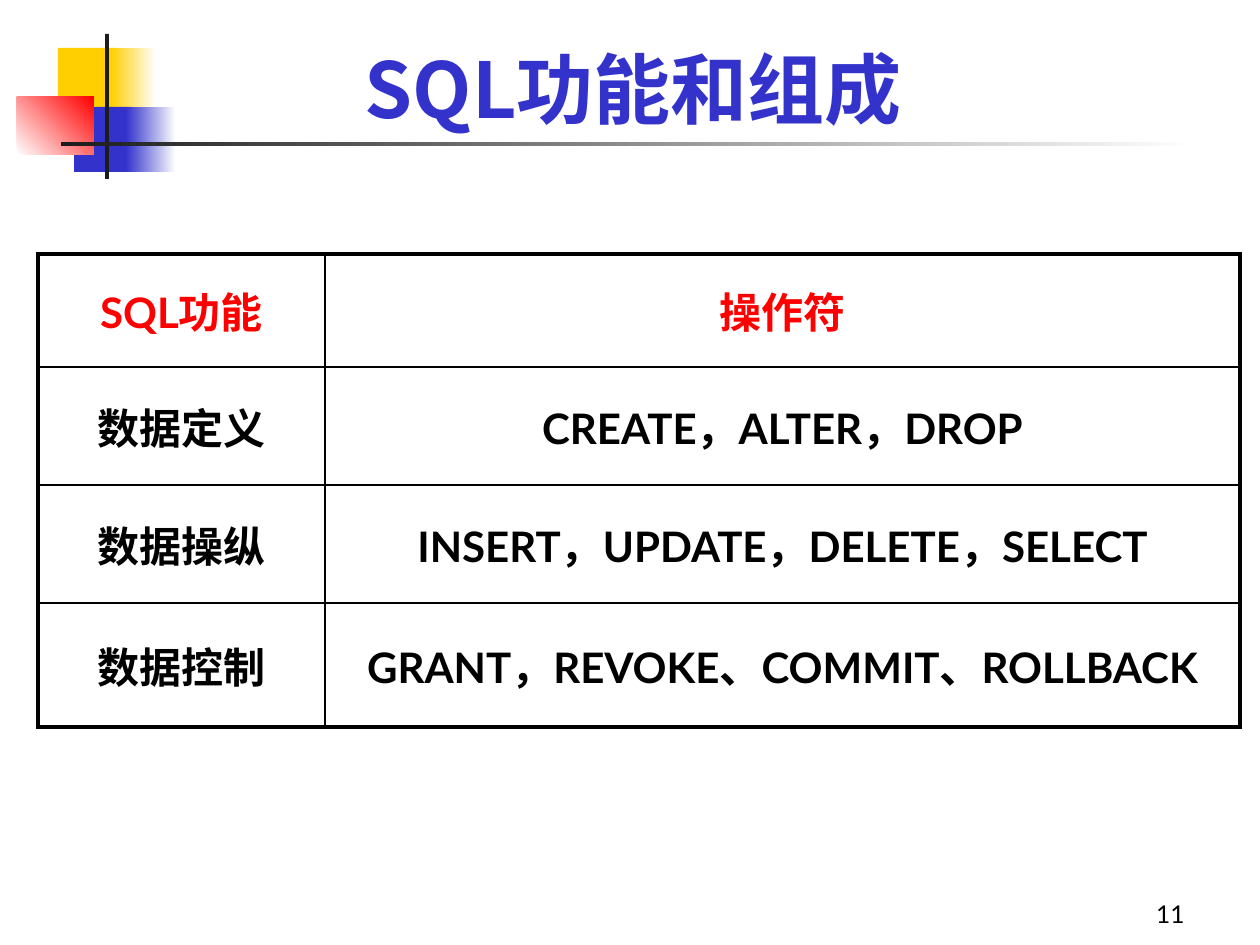
from dataclasses import dataclass
from typing import NamedTuple, Optional

from lxml import etree
from pptx import Presentation
from pptx import util as u
from pptx.dml.color import RGBColor
from pptx.enum import shapes, text
from pptx.oxml import ns

PX_PER_INCH = 126


def px(length: int) -> u.Emu:
    return u.Emu(round(length * 914400 / PX_PER_INCH))


@dataclass(frozen=True)
class Theme:
    yellow: str = "FFCF01"
    blue: str = "3333CC"
    red: str = "FF0000"
    dark: str = "1C1C1C"
    black: str = "000000"
    white: str = "FFFFFF"
    latin: str = "Lato"
    chinese: str = "Noto Sans CJK SC"
    title_size: int = 44
    table_size: int = 24
    number_size: int = 14
    outer_line: float = 2.25
    inner_line: float = 1


THEME = Theme()


class Box(NamedTuple):
    left: int
    top: int
    width: int
    height: int

    def emu(self) -> list:
        return [px(length) for length in self]


class Block(NamedTuple):
    """A decorative rectangle; with an end colour it is a gradient."""
    box: Box
    color: str
    end_color: Optional[str] = None
    angle: int = 0


BLOCKS = [
    Block(Box(58, 48, 60, 66), THEME.yellow),
    Block(Box(111, 48, 45, 66), THEME.yellow, THEME.white),
    Block(Box(74, 107, 58, 65), THEME.blue),
    Block(Box(126, 107, 50, 65), THEME.blue, THEME.white),
    Block(Box(17, 97, 77, 58), THEME.white, THEME.red, 45),
    Block(Box(105, 34, 4, 145), THEME.dark),
    Block(Box(61, 142, 1134, 4), THEME.dark, THEME.white),
]

TITLE_BOX = Box(49, 23, 1169, 117)
NUMBER_BOX = Box(935, 872, 262, 63)
TABLE_LEFT, TABLE_TOP = 38, 254
COLUMN_WIDTHS = [287, 915]
ROW_HEIGHTS = [113, 118, 118, 118]
ROWS = [
    ("SQL功能", "操作符"),
    ("数据定义", "CREATE，ALTER，DROP"),
    ("数据操纵", "INSERT，UPDATE，DELETE，SELECT"),
    ("数据控制", "GRANT，REVOKE、COMMIT、ROLLBACK"),
]


def write(frame, content: str, align, latin: str, size: int, color: str, bold: bool) -> None:
    paragraph = frame.paragraphs[0]
    paragraph.alignment = align
    paragraph.space_before = u.Pt(0)
    run = paragraph.add_run()
    run.text = content
    for name, value in {"name": latin, "size": u.Pt(size), "bold": bold}.items():
        setattr(run.font, name, value)
    run.font.color.rgb = RGBColor.from_string(color)
    east_asian = etree.Element(ns.qn("a:ea"), typeface=THEME.chinese)
    run.font._element.find(ns.qn("a:latin")).addnext(east_asian)


def draw_block(slide, block: Block) -> None:
    shape = slide.shapes.add_shape(shapes.MSO_SHAPE.RECTANGLE, *block.box.emu())
    shape.shadow.inherit = False
    shape.line.fill.background()
    if block.end_color is None:
        shape.fill.solid()
        shape.fill.fore_color.rgb = RGBColor.from_string(block.color)
        return
    shape.fill.gradient()
    shape.fill.gradient_angle = block.angle
    for stop, color in zip(shape.fill.gradient_stops, (block.color, block.end_color)):
        stop.color.rgb = RGBColor.from_string(color)


def draw_title(slide) -> None:
    title = slide.shapes.title
    for name, value in zip(Box._fields, TITLE_BOX.emu()):
        setattr(title, name, value)
    title.text_frame.vertical_anchor = text.MSO_ANCHOR.BOTTOM
    write(title.text_frame, "SQL功能和组成", text.PP_ALIGN.CENTER,
          THEME.chinese, THEME.title_size, THEME.blue, True)


def set_borders(cell, outer_sides: dict) -> None:
    """Draw the four borders of a cell, thicker on the sides marked as outer."""
    properties = cell._tc.get_or_add_tcPr()
    for index, (side, is_outer) in enumerate(outer_sides.items()):
        width = THEME.outer_line if is_outer else THEME.inner_line
        line = etree.Element(ns.qn(f"a:ln{side}"), w=str(u.Pt(width)))
        fill = etree.SubElement(line, ns.qn("a:solidFill"))
        etree.SubElement(fill, ns.qn("a:srgbClr"), val=THEME.black)
        properties.insert(index, line)


def draw_table(slide) -> None:
    box = Box(TABLE_LEFT, TABLE_TOP, sum(COLUMN_WIDTHS), sum(ROW_HEIGHTS))
    table = slide.shapes.add_table(len(ROWS), len(COLUMN_WIDTHS), *box.emu()).table
    table.first_row = table.horz_banding = False
    for column, width in zip(table.columns, COLUMN_WIDTHS):
        column.width = px(width)
    for row, height in zip(table.rows, ROW_HEIGHTS):
        row.height = px(height)
    last_row, last_column = len(ROWS) - 1, len(COLUMN_WIDTHS) - 1
    for i, contents in enumerate(ROWS):
        for j, content in enumerate(contents):
            cell = table.cell(i, j)
            cell.fill.background()
            cell.vertical_anchor = text.MSO_ANCHOR.MIDDLE
            set_borders(cell, {"L": j == 0, "R": j == last_column,
                               "T": i == 0, "B": i == last_row})
            write(cell.text_frame, content, text.PP_ALIGN.CENTER, THEME.latin,
                  THEME.table_size, THEME.black if i else THEME.red, True)


def draw_slide_number(slide) -> None:
    frame = slide.shapes.add_textbox(*NUMBER_BOX.emu()).text_frame
    frame.word_wrap = True
    frame.vertical_anchor = text.MSO_ANCHOR.BOTTOM
    write(frame, "11", text.PP_ALIGN.RIGHT, THEME.latin,
          THEME.number_size, THEME.black, False)


def main() -> None:
    presentation = Presentation()
    presentation.slide_width, presentation.slide_height = px(1260), px(945)
    slide = presentation.slides.add_slide(presentation.slide_layouts[5])
    for block in BLOCKS:
        draw_block(slide, block)
    draw_title(slide)
    draw_table(slide)
    draw_slide_number(slide)
    presentation.save("out.pptx")


if __name__ == "__main__":
    main()
